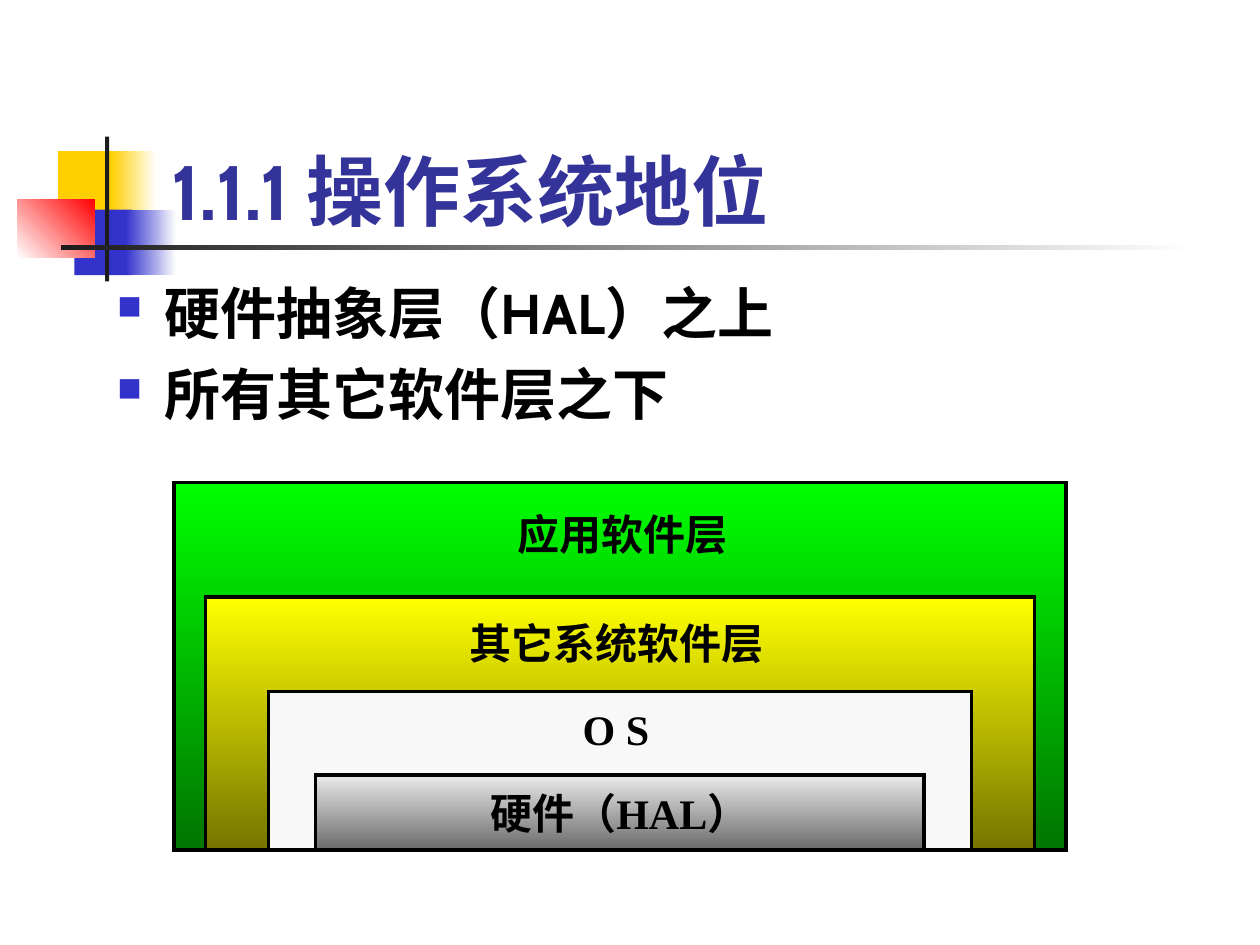
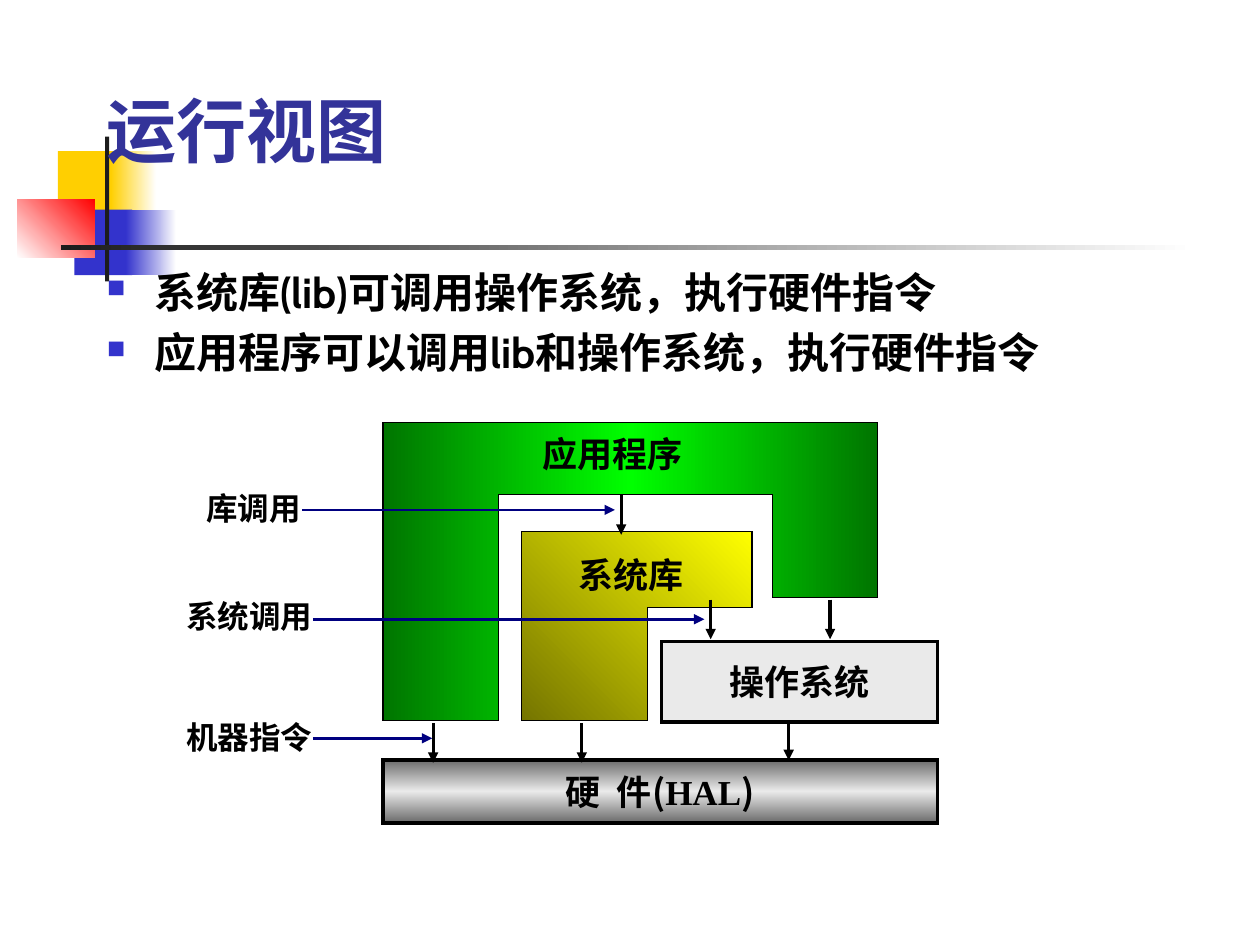
from copy import deepcopy

from lxml import etree
from pptx import Presentation
from pptx.dml.color import RGBColor
from pptx.enum.shapes import MSO_CONNECTOR, MSO_SHAPE
from pptx.enum.text import MSO_ANCHOR, PP_ALIGN
from pptx.oxml.ns import qn
from pptx.util import Pt

RECTANGLE = MSO_SHAPE.RECTANGLE
STRAIGHT = MSO_CONNECTOR.STRAIGHT
LEFT, CENTER = PP_ALIGN.LEFT, PP_ALIGN.CENTER
TOP, MIDDLE, BOTTOM = MSO_ANCHOR.TOP, MSO_ANCHOR.MIDDLE, MSO_ANCHOR.BOTTOM

BLACK = RGBColor(0x00, 0x00, 0x00)
WHITE = RGBColor(0xFF, 0xFF, 0xFF)
INK = RGBColor(0x1C, 0x1C, 0x1C)
GOLD = RGBColor(0xFF, 0xCF, 0x01)
BLUE = RGBColor(0x33, 0x33, 0xCC)
RED = RGBColor(0xFF, 0x00, 0x00)
TITLE_BLUE = RGBColor(0x33, 0x33, 0x99)
NAVY = RGBColor(0x00, 0x00, 0x80)
GREEN = RGBColor(0x00, 0xFF, 0x00)
DARK_GREEN = RGBColor(0x00, 0x75, 0x00)
YELLOW = RGBColor(0xFF, 0xFF, 0x00)
DARK_YELLOW = RGBColor(0x75, 0x75, 0x00)
PALE = RGBColor(0xF8, 0xF8, 0xF8)
LIGHT_GRAY = RGBColor(0xEA, 0xEA, 0xEA)
DARK_GRAY = RGBColor(0x6B, 0x6B, 0x6B)

HEADING_FONT = "Cabin"
DIAGRAM_FONT = "Times New Roman"
CJK_FONT = "Noto Sans CJK SC"


def paint(shape, colours, angle=0, line_width=0):
    shape.shadow.inherit = False
    if len(colours) == 1:
        shape.fill.solid()
        shape.fill.fore_color.rgb = colours[0]
    else:
        shape.fill.gradient()
        shape.fill.gradient_angle = angle
        stop_list = shape.element.spPr.find(".//" + qn("a:gsLst"))
        for _ in colours[2:]:
            stop_list.append(deepcopy(stop_list[0]))
        for index, (stop, colour) in enumerate(zip(shape.fill.gradient_stops, colours)):
            stop.position = index / (len(colours) - 1)
            stop.color.rgb = colour
    if line_width:
        shape.line.color.rgb = BLACK
        shape.line.width = Pt(line_width)
        etree.SubElement(shape.element.spPr.find(qn("a:ln")), qn("a:miter"), lim="800000")
    else:
        shape.line.fill.background()


def write(shape, *paragraphs, size, font=DIAGRAM_FONT, cjk_font=CJK_FONT, colour=BLACK,
          align=LEFT, anchor=TOP, wrap=True, space_before=0, bullet=False):
    frame = shape.text_frame
    frame.word_wrap = wrap
    frame.vertical_anchor = anchor
    for index, content in enumerate(paragraphs):
        paragraph = frame.add_paragraph() if index else frame.paragraphs[0]
        paragraph.alignment = align
        paragraph.space_before = Pt(space_before)
        if bullet:
            properties = paragraph._p.get_or_add_pPr()
            properties.set("marL", str(Pt(27)))
            properties.set("indent", str(-Pt(27)))
            bullet_colour = etree.SubElement(properties, qn("a:buClr"))
            etree.SubElement(bullet_colour, qn("a:srgbClr"), val=str(BLUE))
            etree.SubElement(properties, qn("a:buSzPct"), val="60000")
            etree.SubElement(properties, qn("a:buFont"), typeface="Wingdings")
            etree.SubElement(properties, qn("a:buChar"), char="n")
        runs = [(content, font)] if isinstance(content, str) else content
        for text, typeface in runs:
            run = paragraph.add_run()
            run.text = text
            run.font.size = Pt(size)
            run.font.bold = True
            run.font.color.rgb = colour
            run.font.name = typeface
            etree.SubElement(run._r.rPr, qn("a:ea"), typeface=cjk_font)


presentation = Presentation()
presentation.slide_width = Pt(720)
presentation.slide_height = Pt(540)

ornaments = [
    (33.1, 86.4, 34.6, 37.4, [GOLD], 0),
    (63.4, 86.4, 25.9, 37.4, [GOLD, WHITE], 0),
    (42.5, 119.8, 33.1, 37.4, [BLUE], 0),
    (72, 119.8, 28.8, 37.4, [BLUE, WHITE], 0),
    (9.9, 113.8, 44.4, 33.5, [WHITE, RED], 45),
    (60, 78, 2.4, 82.8, [INK], 0),
    (34.8, 140.2, 648, 2.4, [INK, WHITE], 0),
]
pages = [
    ("1.1.1 操作系统地位", 44, (90.7, 48.2, 613.4, 90),
     ["硬件抽象层（HAL）之上", "所有其它软件层之下"], 32, 8, (59.8, 155.5, 612, 324)),
    ("运行视图", 40, (54, 23.8, 612, 77.8),
     ["系统库(lib)可调用操作系统，执行硬件指令",
      "应用程序可以调用lib和操作系统，执行硬件指令"], 24, 6, (54, 148.5, 612, 349)),
]
slides = []
for title, title_size, title_box, points, point_size, gap, body_box in pages:
    slide = presentation.slides.add_slide(presentation.slide_layouts[6])
    slides.append(slide)
    for *box, colours, angle in ornaments:
        paint(slide.shapes.add_shape(RECTANGLE, *map(Pt, box)), colours, angle)
    write(slide.shapes.add_textbox(*map(Pt, title_box)), title, size=title_size,
          font=HEADING_FONT, cjk_font=HEADING_FONT, colour=TITLE_BLUE, anchor=BOTTOM)
    write(slide.shapes.add_textbox(*map(Pt, body_box)), *points, size=point_size,
          font=HEADING_FONT, cjk_font=HEADING_FONT, space_before=gap, bullet=True)
layer_slide, runtime_slide = slides

layer_center, layer_bottom = 354.2, 485.6
layers = [
    (275.8, 509.8, [GREEN, DARK_GREEN]),
    (341.3, 473.8, [YELLOW, DARK_YELLOW]),
    (395.3, 401.8, [PALE]),
    (442.8, 347.8, [LIGHT_GRAY, DARK_GRAY]),
]
for top, width, colours in layers:
    layer = layer_slide.shapes.add_shape(
        RECTANGLE, Pt(layer_center - width / 2), Pt(top), Pt(width), Pt(layer_bottom - top))
    paint(layer, colours, 270, line_width=2)
write(layer, "硬件（HAL）", size=24, align=CENTER, anchor=MIDDLE, wrap=False)

layer_labels = [
    ("应用软件层", 255.6, 287.3),
    ("其它系统软件层", 252.5, 349.2),
    ("O S", 252, 398.2),
]
for text, left, top in layer_labels:
    label = layer_slide.shapes.add_textbox(Pt(left), Pt(top), Pt(200), Pt(36))
    write(label, text, size=24, align=CENTER)

hardware = runtime_slide.shapes.add_shape(RECTANGLE, Pt(218.9), Pt(434.2), Pt(316.8), Pt(36))
paint(hardware, [DARK_GRAY, LIGHT_GRAY, DARK_GRAY], 270, line_width=2)
write(hardware, [("硬  件", DIAGRAM_FONT), ("(", CJK_FONT), ("HAL", DIAGRAM_FONT), (")", CJK_FONT)],
      size=20, align=CENTER, anchor=MIDDLE, wrap=False)

system = runtime_slide.shapes.add_shape(RECTANGLE, Pt(378), Pt(366.5), Pt(157.7), Pt(46))
paint(system, [LIGHT_GRAY], line_width=2)
etree.SubElement(system.element.spPr.find(".//" + qn("a:srgbClr")), qn("a:alpha"), val="96000")
write(system, "操作系统", size=20, align=CENTER, anchor=MIDDLE, wrap=False)

outlines = [
    ([(298, 411.8), (298, 303.8), (429.8, 303.8), (429.8, 347), (370, 347), (370, 411.8)],
     [YELLOW, DARK_YELLOW], 225),
    ([(218.9, 411.8), (218.9, 241.5), (501.3, 241.5), (501.3, 341.6), (441.3, 341.6),
      (441.3, 282.6), (285.1, 282.6), (285.1, 411.8)],
     [DARK_GREEN, GREEN, DARK_GREEN], 180),
]
for corners, colours, angle in outlines:
    corners = [(Pt(x), Pt(y)) for x, y in corners]
    builder = runtime_slide.shapes.build_freeform(*corners[0])
    builder.add_line_segments(corners[1:], close=True)
    paint(builder.convert_to_shape(), colours, angle, line_width=0.75)

runtime_labels = [
    ("系统库", 315.4, 312.5, 90, 20, CENTER),
    ("应用程序", 303.1, 243.4, 100, 20, LEFT),
    ("机器指令", 99.4, 406.8, 100, 18, LEFT),
    ("系统调用", 99.4, 337.7, 100, 18, LEFT),
    ("库调用", 110.9, 275.8, 72, 18, LEFT),
]
for text, left, top, width, size, align in runtime_labels:
    label = runtime_slide.shapes.add_textbox(Pt(left), Pt(top), Pt(width), Pt(30))
    write(label, text, size=size, align=align)

drop = 22.6
drops = [(247.5, 413.3), (332.5, 413.3), (450.7, 411.8),
         (406.1, 342.7), (474.3, 342.7), (355, 283)]
calls = [(172.8, 351.4, 291.4), (178.8, 402.5, 353.9), (178.8, 247, 421.9)]
arrows = [(x, y, x, y + drop, BLACK, 1.75) for x, y in drops]
arrows += [(start, y, end, y, NAVY, 1.5) for start, end, y in calls]
for *ends, colour, width in arrows:
    arrow = runtime_slide.shapes.add_connector(STRAIGHT, *map(Pt, ends))
    arrow.line.color.rgb = colour
    arrow.line.width = Pt(width)
    etree.SubElement(arrow.element.spPr.find(qn("a:ln")), qn("a:tailEnd"), type="triangle")
    etree.SubElement(arrow.element.spPr, qn("a:effectLst"))

presentation.save("out.pptx")
